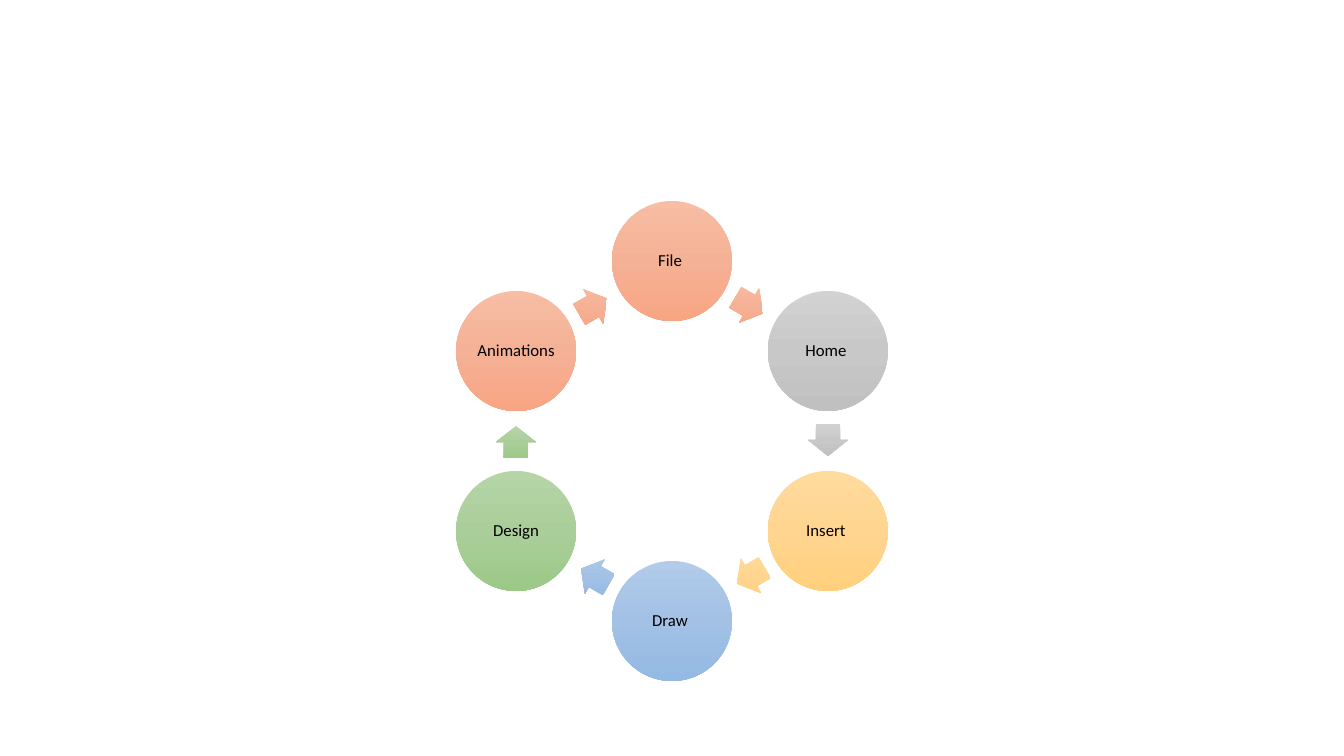
"""Build a slide with a cycle of six menu tabs joined by arrows."""
from copy import deepcopy
from math import cos, radians, sin

from pptx import Presentation
from pptx.dml.color import RGBColor
from pptx.enum.shapes import MSO_SHAPE as Preset
from pptx.enum.text import MSO_ANCHOR as Anchor, PP_ALIGN as Align
from pptx.oxml.ns import qn
from pptx.util import Pt

PX = 914400 / 100.8
CENTER_X, CENTER_Y = 672, 441
TAB_RADIUS, TAB_SIZE = 180, 120
ARROW_RADIUS, ARROW_LENGTH, ARROW_HEIGHT = 156, 32, 40
ARROW_SETBACK = 1
INSET = 2
COLORS = {
    "orange": ("F7BDA5", "F5B196", "F8A582"),
    "gray": ("D2D2D2", "C8C8C8", "C0C0C0"),
    "gold": ("FFDB9E", "FFD590", "FFD07C"),
    "blue": ("B1CBE9", "A3C1E5", "93B9E4"),
    "green": ("B5D5A7", "AACE9A", "9CC987"),
    "black": "000000",
}
TABS = [
    ("File ", "orange"),
    ("Home ", "gray"),
    ("Insert ", "gold"),
    ("Draw ", "blue"),
    ("Design", "green"),
    ("Animations ", "orange"),
]


def px(length):
    return round(length * PX)


def add_gradient_shape(preset, x, y, width, height, color):
    """Add an unlined shape centred on x, y with a vertical gradient."""
    shape = slide.shapes.add_shape(
        preset, px(x - width / 2), px(y - height / 2), px(width), px(height))
    shape.shadow.inherit = False
    shape.line.fill.background()
    shape.fill.gradient()
    shape.fill.gradient_angle = 270
    gradient = shape._element.spPr.find(qn("a:gradFill"))
    gradient.set("rotWithShape", "0")
    first_stop = gradient.find(qn("a:gsLst"))[0]
    first_stop.addnext(deepcopy(first_stop))
    for stop, position, shade in zip(shape.fill.gradient_stops, (0, 0.5, 1), COLORS[color]):
        stop.position = position
        stop.color.rgb = RGBColor.from_string(shade)
    return shape


prs = Presentation()
prs.slide_width, prs.slide_height = px(1344), px(756)
slide = prs.slides.add_slide(prs.slide_layouts[6])

step = 360 / len(TABS)
for index, (label, color) in enumerate(TABS):
    tab_angle = radians(index * step - 90)
    tab = add_gradient_shape(
        Preset.OVAL,
        CENTER_X + TAB_RADIUS * cos(tab_angle),
        CENTER_Y + TAB_RADIUS * sin(tab_angle),
        TAB_SIZE, TAB_SIZE, color)
    frame = tab.text_frame
    frame.word_wrap = True
    frame.vertical_anchor = Anchor.MIDDLE
    frame.margin_left = frame.margin_right = px(INSET)
    frame.margin_top = frame.margin_bottom = px(INSET)
    paragraph = frame.paragraphs[0]
    paragraph.alignment = Align.CENTER
    paragraph.line_spacing = 0.9
    run = paragraph.add_run()
    run.text = label
    run.font.name = "Calibri"
    run.font.size = Pt(12)
    run.font.color.rgb = RGBColor.from_string(COLORS["black"])

    heading = (index + 0.5) * step
    arrow_angle = radians(heading - 90)
    arrow = add_gradient_shape(
        Preset.RIGHT_ARROW,
        CENTER_X + ARROW_RADIUS * cos(arrow_angle) - ARROW_SETBACK * cos(radians(heading)),
        CENTER_Y + ARROW_RADIUS * sin(arrow_angle) - ARROW_SETBACK * sin(radians(heading)),
        ARROW_LENGTH, ARROW_HEIGHT, color)
    arrow.rotation = heading
    arrow.adjustments[0] = 0.6
    arrow.adjustments[1] = 0.5

prs.save("out.pptx")
